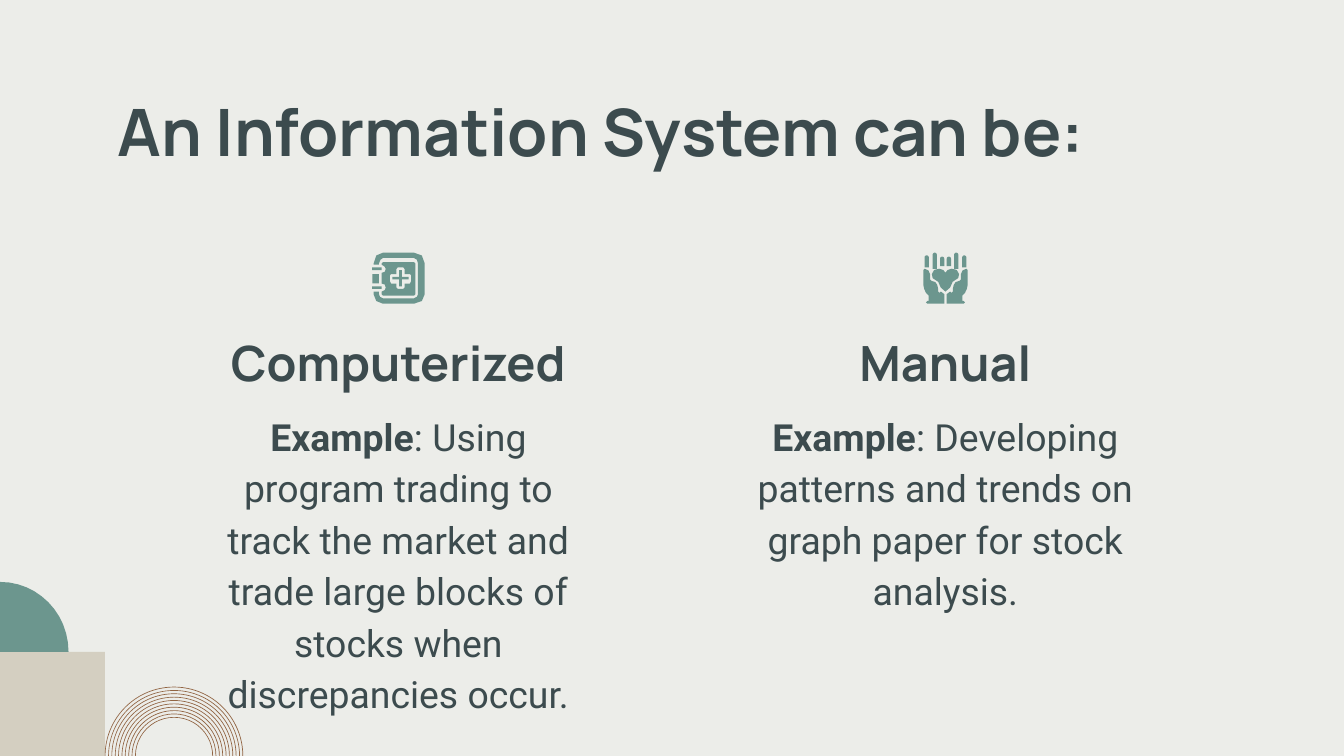
"""Build a slide on the computerized and manual forms of an information system."""
import math

import pptx
import pptx.dml.color
import pptx.enum.shapes
import pptx.enum.text
import pptx.util

color = pptx.dml.color.RGBColor.from_string
preset = pptx.enum.shapes.MSO_SHAPE
anchor = pptx.enum.text.MSO_ANCHOR
align = pptx.enum.text.PP_ALIGN

theme = {
    "background": color("ECEDE9"),
    "ink": color("3C4B4E"),
    "sage": color("6C968E"),
    "sand": color("D4CFC1"),
    "copper": color("916442"),
    "heading_font": "Manrope",
    "body_font": "Roboto",
    "title_size": pptx.util.Pt(35),
    "subtitle_size": pptx.util.Pt(26),
    "body_size": pptx.util.Pt(20),
}

presentation = pptx.Presentation()
presentation.slide_width = pptx.util.Inches(10)
presentation.slide_height = presentation.slide_width * 9 // 16
unit = presentation.slide_width / 1000
bottom = presentation.slide_height / unit
slide = presentation.slides.add_slide(presentation.slide_layouts[6])
slide.background.fill.solid()
slide.background.fill.fore_color.rgb = theme["background"]


def add_preset(kind, left, top, width, height, fill):
    box = [round(length * unit) for length in (left, top, width, height)]
    shape = slide.shapes.add_shape(kind, *box)
    shape.shadow.inherit = False
    shape.fill.solid()
    shape.fill.fore_color.rgb = fill
    shape.line.fill.background()
    return shape


def add_outline(contours, fill, left=0, top=0, side=1, steps=2):
    builder = None
    for contour in contours:
        points = [contour[0]]
        for step in contour[1:]:
            if len(step) == 2:
                points.append(step)
                continue
            curve = [points[-1], step[:2], step[2:4], step[4:]]
            for t in [n / steps for n in range(1, steps + 1)]:
                weights = [math.comb(3, k) * t**k * (1 - t) ** (3 - k) for k in range(4)]
                points.append([sum(w * p[axis] for w, p in zip(weights, curve)) for axis in (0, 1)])
        placed = [((left + side * x) * unit, (top + y) * unit) for x, y in points]
        if builder is None:
            builder = slide.shapes.build_freeform(*placed[0])
        else:
            builder.move_to(*placed[0])
        builder.add_line_segments(placed[1:], close=True)
    shape = builder.convert_to_shape()
    shape.shadow.inherit = False
    shape.fill.solid()
    shape.fill.fore_color.rgb = fill
    shape.line.fill.background()


block_top = 485
add_preset(preset.RECTANGLE, 0, block_top, 78, bottom - block_top, theme["sand"])
quarter = [(0, 433), (0, block_top), (51, block_top), (51, 456, 28, 433, 0, 433)]
add_outline([quarter], theme["sage"], steps=12)

for ring in range(10):
    radius = 51.5 - 2.5 * ring
    arc = add_preset(preset.BLOCK_ARC, 129.5 - radius, bottom - radius, 2 * radius, 2 * radius,
                     theme["copper"])
    arc.adjustments[2] = 0.25 / radius

column_width = 307
columns = [
    (143, "Computerized", ": Using program trading to track the market and trade large blocks "
     "of stocks when discrepancies occur."),
    (550, "Manual", ": Developing patterns and trends on graph paper for stock analysis."),
]
title_font = {"name": theme["heading_font"], "size": theme["title_size"], "bold": True}
subtitle_font = {**title_font, "size": theme["subtitle_size"]}
body_font = {"name": theme["body_font"], "size": theme["body_size"], "bold": False}
centered = {"alignment": align.CENTER, "line_spacing": 1.15}

blocks = [((78, 58, 844, 68), anchor.TOP, {"alignment": align.LEFT},
           [("An Information System can be:", title_font)])]
for left, name, example in columns:
    blocks.append(((left, 293, column_width, 129), anchor.TOP, centered,
                   [("Example", {**body_font, "bold": True}), (example, body_font)]))
    blocks.append(((left, 246, column_width, 55), anchor.BOTTOM, centered, [(name, subtitle_font)]))

margins = ("margin_left", "margin_top", "margin_right", "margin_bottom")
for box, vertical, layout, runs in blocks:
    frame = slide.shapes.add_textbox(*[round(length * unit) for length in box]).text_frame
    frame_format = {"word_wrap": True, "vertical_anchor": vertical,
                    **dict.fromkeys(margins, pptx.util.Inches(0.1))}
    for key, value in frame_format.items():
        setattr(frame, key, value)
    paragraph = frame.paragraphs[0]
    for key, value in layout.items():
        setattr(paragraph, key, value)
    for text, font_format in runs:
        run = paragraph.add_run()
        run.text = text
        run.font.color.rgb = theme["ink"]
        for key, value in font_format.items():
            setattr(run.font, key, value)

icon_top = 188
book_center, hands_center = [left + column_width / 2 for left, *_ in columns]
book_left = book_center - 19.5

for top, width, height in [(16, 5, 7), (25, 7, 2), (11, 7, 2)]:
    add_preset(preset.RECTANGLE, book_left, icon_top + top, width, height, theme["sage"])

cover = [
    (8, 0), (4, 0, 1, 3, 1, 8), (1, 9), (5, 9), (5, 8), (5, 6, 7, 4, 8, 4), (31, 4),
    (33, 4, 34, 6, 34, 8), (34, 31), (34, 32, 33, 34, 31, 34), (8, 34), (6, 34, 5, 32, 5, 31),
    (5, 29), (1, 29), (1, 31), (1, 35, 4, 38, 8, 38), (31, 38), (36, 38, 39, 35, 39, 31),
    (39, 8), (39, 3, 36, 0, 31, 0),
]
cross = [
    (20, 13), (20, 18), (15, 18), (15, 20), (20, 20), (20, 25),
    (22, 25), (22, 20), (27, 20), (27, 18), (22, 18), (22, 13),
]
cross_gap = [
    (23, 11), (24, 12), (24, 16), (28, 16), (29, 17), (29, 21), (28, 23), (24, 23), (24, 26),
    (23, 27), (19, 27), (18, 26), (18, 23), (14, 23), (13, 21), (13, 17), (14, 16), (18, 16),
    (18, 12), (19, 11),
]
page = [
    (8, 7), (7, 8), (7, 9), (9, 10, 10, 11, 10, 12), (10, 14, 9, 15, 7, 15), (7, 23),
    (9, 23, 10, 24, 10, 26), (10, 27, 9, 29, 7, 29), (7, 31), (8, 32), (31, 32), (32, 31),
    (32, 8), (31, 7),
]
for contours in ([cover], [cross], [cross_gap, page]):
    add_outline(contours, theme["sage"], book_left, icon_top)

heart = [
    (-4.5, 12), (-6.5, 12, -7.5, 13, -8.5, 13), (-10.5, 15, -10.5, 17, -9.5, 19),
    (-6.5, 20, -3.5, 23, -3.5, 26), (0, 29), (3.5, 26), (3.5, 23, 6.5, 20, 9.5, 19),
    (10.5, 17, 10.5, 15, 8.5, 13), (7.5, 13, 6.5, 12, 4.5, 12), (3.5, 12, 2.5, 13, 1.5, 13),
    (0, 15), (-1.5, 13), (-2.5, 13, -3.5, 12, -4.5, 12),
]
palm = [
    (15.5, 12), (13.5, 12, 11.5, 14, 11.5, 16), (11.5, 20), (10.5, 21), (7.5, 22),
    (6.5, 23, 5.5, 25, 5.5, 27), (5.5, 29), (4.5, 30), (3.5, 29), (0.8, 31), (0.8, 38),
    (13.5, 38), (14.5, 37), (13.5, 36), (12.5, 36), (12.5, 32), (14.5, 30),
    (15.5, 28, 16.5, 26, 16.5, 24), (16.5, 13),
]
add_outline([heart], theme["sage"], hands_center, icon_top)
for side in (-1, 1):
    add_outline([palm], theme["sage"], hands_center, icon_top, side)
    for middle, top, height in [(14, 2, 9), (8, 0, 12), (2.5, 3, 7)]:
        finger = add_preset(preset.ROUND_2_SAME_RECTANGLE, hands_center + side * middle - 1.6,
                            icon_top + top, 3.2, height, theme["sage"])
        finger.adjustments[0] = 0.5

presentation.save("out.pptx")
